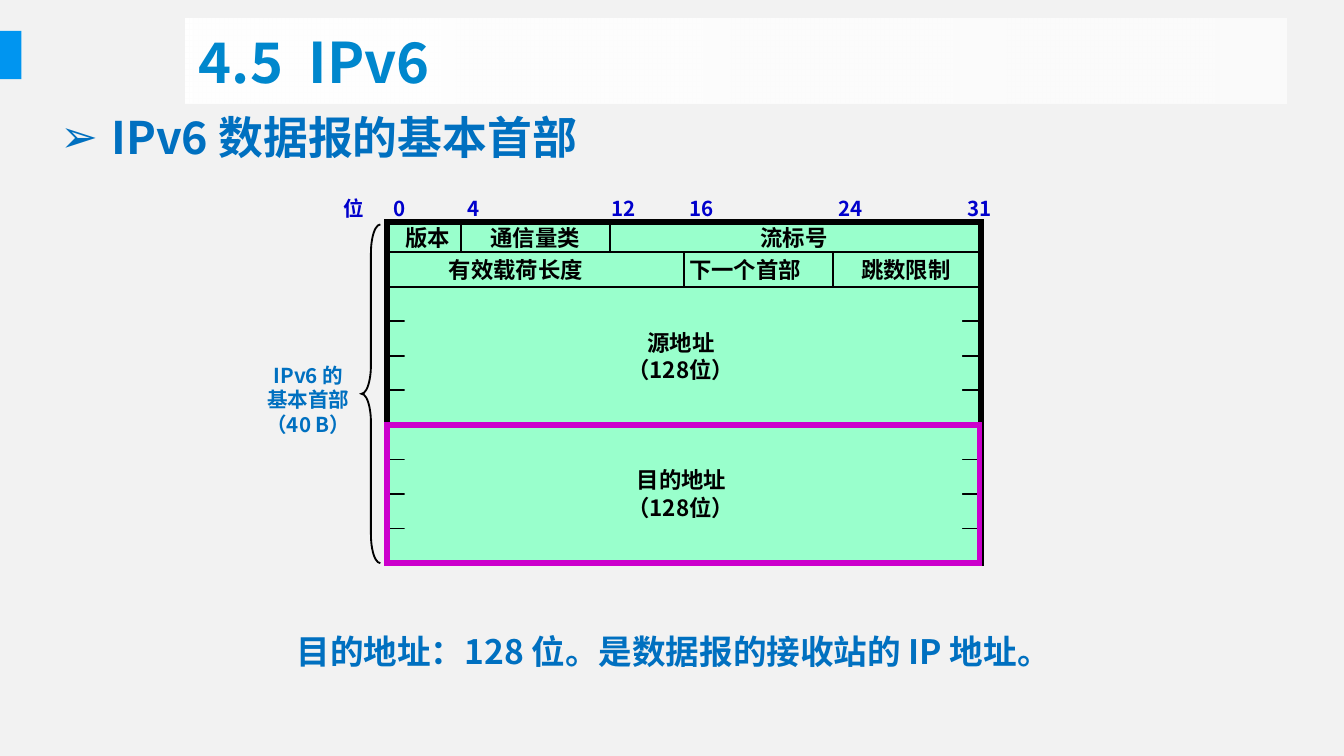
from lxml import etree
from pptx import Presentation
from pptx.dml.color import RGBColor
from pptx.enum.shapes import MSO_CONNECTOR, MSO_SHAPE
from pptx.enum.text import MSO_ANCHOR, MSO_AUTO_SIZE, PP_ALIGN
from pptx.oxml.ns import qn
from pptx.util import Inches, Pt

FONT = "Noto Sans CJK SC"
BACKGROUND = RGBColor(0xF2, 0xF2, 0xF2)
ACCENT = RGBColor(0x00, 0x95, 0xF0)
TITLE_BLUE = RGBColor(0x00, 0x87, 0xCD)
TEXT_BLUE = RGBColor(0x00, 0x70, 0xC0)
BIT_BLUE = RGBColor(0x00, 0x00, 0xCC)
MINT = RGBColor(0x99, 0xFF, 0xCC)
MAGENTA = RGBColor(0xCC, 0x00, 0xCC)
BLACK = RGBColor(0, 0, 0)
WHITE = RGBColor(0xFF, 0xFF, 0xFF)


def format_text(frame, size, color, align=PP_ALIGN.LEFT):
    for para in frame.paragraphs:
        para.alignment = align
        for span in para.runs:
            font = span.font
            font.name, font.size, font.bold = FONT, Pt(size), True
            font.color.rgb = color
            east_asian = etree.SubElement(font._element, qn("a:ea"))
            east_asian.set("typeface", FONT)


def add_text(page, box, text, size, color, align=PP_ALIGN.LEFT, wrap=False):
    frame = page.shapes.add_textbox(*map(Inches, box)).text_frame
    frame.word_wrap = wrap
    frame.auto_size = MSO_AUTO_SIZE.SHAPE_TO_FIT_TEXT
    frame.text = text
    format_text(frame, size, color, align)
    return frame


def add_box(page, box, fill=None, line=None, width=1, kind=MSO_SHAPE.RECTANGLE):
    shape = page.shapes.add_shape(kind, *map(Inches, box))
    shape.shadow.inherit = False
    if fill is None:
        shape.fill.background()
    else:
        shape.fill.solid()
        shape.fill.fore_color.rgb = fill
    if line is None:
        shape.line.fill.background()
    else:
        shape.line.color.rgb = line
        shape.line.width = Pt(width)
        # Sharp corners
        outline = shape._element.spPr.find(qn("a:ln"))
        etree.SubElement(outline, qn("a:miter")).set("lim", "800000")
    return shape


def add_rule(page, x1, y1, x2, y2):
    rule = page.shapes.add_connector(
        MSO_CONNECTOR.STRAIGHT, *map(Inches, (x1, y1, x2, y2)))
    rule.line.color.rgb = BLACK
    rule.line.width = Pt(1)
    etree.SubElement(rule._element.spPr, qn("a:effectLst"))


def place_title(page, box, text):
    title = page.shapes.title
    title.left, title.top, title.width, title.height = map(Inches, box)
    # White band fading to the right
    title.fill.gradient()
    title.fill.gradient_angle = 0
    for stop in title.fill.gradient_stops:
        stop.color.rgb = WHITE
    last_color = title._element.spPr.findall(".//" + qn("a:srgbClr"))[-1]
    etree.SubElement(last_color, qn("a:alpha")).set("val", "67000")
    frame = title.text_frame
    frame.text = text
    frame.vertical_anchor = MSO_ANCHOR.MIDDLE
    format_text(frame, 30, TITLE_BLUE)


def add_heading(page, box, text):
    frame = add_text(page, box, text, 24, TEXT_BLUE, wrap=True)
    props = frame.paragraphs[0]._p.get_or_add_pPr()
    props.set("marL", str(Inches(0.38)))
    props.set("indent", str(-Inches(0.38)))
    etree.SubElement(props, qn("a:buFont")).set("typeface", "Arial")
    etree.SubElement(props, qn("a:buChar")).set("char", "➢")


def add_header_diagram(page, box):
    left, top, width, height = box
    right, bottom = left + width, top + height
    bit = width / 32
    row = 0.257
    # Row boundaries, counted up from the bottom edge
    lines = [bottom - row * count for count in range(9, -1, -1)]
    add_box(page, box, MINT, BLACK, 3)
    for y in lines:
        add_rule(page, left, y, right, y)

    # Address areas leave only short ticks at the sides
    for first_line in (lines[1], lines[5]):
        add_box(page, (left + 0.13, first_line + 0.18, width - 0.27, 0.69), MINT)

    # Field separators at bit positions
    for position, start, end in ((4, top, lines[0]), (12, top, lines[0]),
                                 (16, lines[0], lines[1]), (24, lines[0], lines[1])):
        x = left + bit * position
        add_rule(page, x, start, x, end)

    # Bit scale
    for label, x, label_width in (("位", -0.42, 0.35), ("0", -0.05, 0.29),
                                  ("4", 0.5, 0.29), ("12", 1.57, 0.39),
                                  ("16", 2.15, 0.39), ("24", 3.26, 0.39),
                                  ("31", 4.22, 0.39)):
        add_text(page, (left + x, top - 0.24, label_width, 0.28), label, 11, BIT_BLUE)

    # Field names
    for name, x, y, name_width in (
            ("版本", 0.04, -0.03, 0.54), ("通信量类", 0.67, -0.03, 0.87),
            ("流标号", 2.68, -0.03, 0.7), ("有效载荷长度", 0.36, 0.21, 1.21),
            ("下一个首部", 2.15, 0.21, 1.04), ("跳数限制", 3.43, 0.21, 0.87),
            ("源地址", 1.84, 0.75, 0.7), ("（128位）", 1.69, 0.95, 1.02),
            ("目的地址", 1.76, 1.77, 0.87), ("（128位）", 1.69, 1.98, 1.02)):
        add_text(page, (left + x, top + y, name_width, 0.3), name, 12, BLACK)

    # Brace and its caption
    brace = add_box(page, (left - 0.19, top + 0.02, 0.14, height - 0.02),
                    line=BLACK, kind=MSO_SHAPE.LEFT_BRACE)
    brace.adjustments[0] = 1.52
    brace.adjustments[1] = 0.5
    add_text(page, (left - 1.01, top + 1, 0.85, 0.65),
             "IPv6 的\n基本首部\n（40 B）", 11, TEXT_BLUE, PP_ALIGN.CENTER)

    # Highlighted destination address
    add_box(page, (left, lines[5], width - 0.01, bottom - lines[5]),
            line=MAGENTA, width=3)


def add_explanation(page, box, text):
    frame = add_text(page, box, text, 18, TEXT_BLUE, PP_ALIGN.CENTER, wrap=True)
    frame.paragraphs[0].line_spacing = Pt(27)


def main():
    deck = Presentation()
    # Widescreen, 16:9
    deck.slide_width = Inches(10)
    deck.slide_height = deck.slide_width * 9 // 16
    page = deck.slides.add_slide(deck.slide_layouts[5])
    page.background.fill.solid()
    page.background.fill.fore_color.rgb = BACKGROUND

    add_box(page, (-0.01, 0.23, 0.17, 0.36), ACCENT)
    place_title(page, (1.38, 0.14, 8.19, 0.63), "4.5  IPv6")
    add_heading(page, (0.35, 0.77, 9.21, 0.5), "IPv6 数据报的基本首部")
    add_header_diagram(page, (2.88, 1.65, 4.42, 2.54))
    add_explanation(page, (1.28, 4.57, 7.52, 0.48),
                    "目的地址：128 位。是数据报的接收站的 IP 地址。 ")
    deck.save("out.pptx")


if __name__ == "__main__":
    main()
